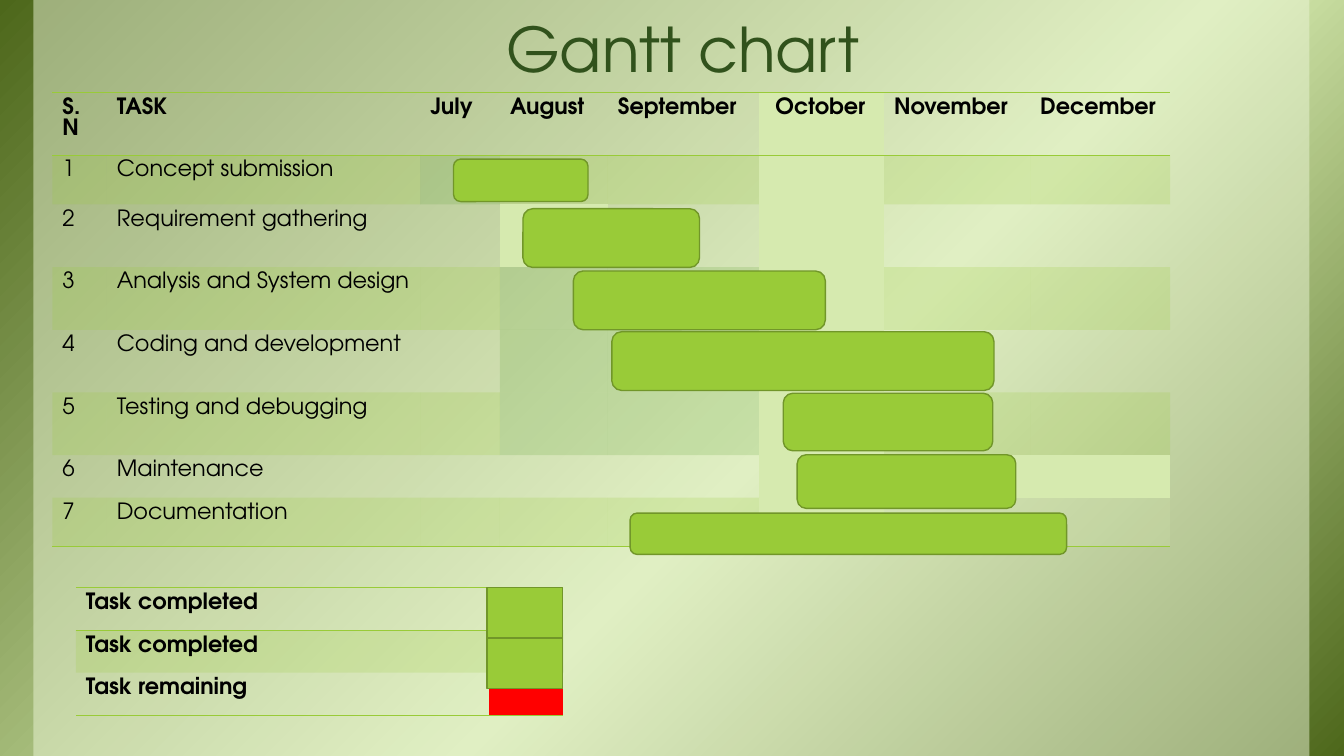
from dataclasses import dataclass

from lxml import etree
from pptx import Presentation
from pptx.dml.color import RGBColor
from pptx.enum.shapes import MSO_SHAPE
from pptx.enum.text import MSO_ANCHOR, MSO_AUTO_SIZE, PP_ALIGN
from pptx.oxml import parse_xml
from pptx.oxml.ns import qn
from pptx.util import Cm, Pt

RECTANGLE = MSO_SHAPE.RECTANGLE
ROUNDED_BAR = MSO_SHAPE.FLOWCHART_ALTERNATE_PROCESS
CENTER = PP_ALIGN.CENTER
BOTTOM = MSO_ANCHOR.BOTTOM
NO_AUTOFIT = MSO_AUTO_SIZE.NONE
DRAWING_NS = "http://schemas.openxmlformats.org/drawingml/2006/main"
PLAIN_TABLE_STYLE = "{2D5ABB26-0587-4C30-8999-92F81FD0307C}"


@dataclass(frozen=True)
class Theme:
    font: str = "TeX Gyre Adventor"
    title_size: int = 44
    table_size: int = 16
    table_leading: int = 15
    title: str = "31521C"
    ink: str = "000000"
    green: str = "99CB38"
    leaf: str = "63A537"
    outline: str = "719629"
    pale: str = "D6EAAF"
    mist: str = "EBF5D7"
    olive: str = "4D671B"
    red: str = "FF0000"


THEME = Theme()

# Cell fills by letter: colour and opacity in percent
CELL_FILLS = {
    "g": (THEME.green, 20),
    "l": (THEME.leaf, 20),
    "p": (THEME.pale, 100),
    "q": (THEME.pale, 20),
    "G": (THEME.green, 100),
    "R": (THEME.red, 100),
}

MONTHS = ["July", "August", "September", " October", "November", "December"]
TASKS = ["Concept submission", "Requirement gathering",
         "Analysis and System design", "Coding and development",
         "Testing and debugging", "Maintenance", "Documentation"]
SCHEDULE_COLUMNS = [1.37, 7.9, 2.01, 2.72, 3.81, 3.15, 3.68, 3.53]
SCHEDULE_ROWS = [1.57, 1.24, 1.58, 1.58, 1.58, 1.58, 1.07, 1.24]
SCHEDULE_FILLS = [".....p..", "gglggpgg", "...p.p..", "gggllpgg",
                  "...llp..", "gggllpgg", ".....ppp", "gggggpqq"]
# Left, top, width and height of each task bar, within the schedule
TASK_BARS = [
    (10.11, 1.67, 3.39, 1.07),
    (11.86, 2.92, 4.45, 1.48),
    (13.13, 4.49, 6.35, 1.48),
    (14.1, 6.02, 9.63, 1.48),
    (18.42, 7.57, 5.28, 1.45),
    (18.77, 9.12, 5.51, 1.35),
    (14.56, 10.59, 11, 1.04),
]
LEGEND = ["Task completed", "Task completed", "Task remaining"]
LEGEND_FILLS = [".G", "gl", ".R"]


def paint(fill, holder, color, opacity=100):
    fill.solid()
    fill.fore_color.rgb = RGBColor.from_string(color)
    if opacity < 100:
        tint = holder.find(qn("a:solidFill")).find(qn("a:srgbClr"))
        etree.SubElement(tint, qn("a:alpha")).set("val", str(opacity * 1000))


def add_block(page, kind, left, top, width, height):
    block = page.shapes.add_shape(kind, Cm(left), Cm(top), Cm(width), Cm(height))
    block.shadow.inherit = False
    return block


def add_bar(page, kind, left, top, width, height):
    bar = add_block(page, kind, left, top, width, height)
    paint(bar.fill, bar._element.spPr, THEME.green)
    bar.line.color.rgb = RGBColor.from_string(THEME.outline)
    bar.line.width = Pt(1)


def style_span(span, size, color, bold=False):
    span.font.name = THEME.font
    span.font.size = Pt(size)
    span.font.bold = bold
    span.font.color.rgb = RGBColor.from_string(color)


def add_border(cell, side):
    border = parse_xml(
        f'<a:{side} xmlns:a="{DRAWING_NS}" w="12700"><a:solidFill>'
        f'<a:srgbClr val="{THEME.green}"/></a:solidFill></a:{side}>')
    cell._tc.get_or_add_tcPr().insert(0, border)


def fill_cell(cell, text, fill_letter, bold):
    cell.text_frame.text = text
    para = cell.text_frame.paragraphs[0]
    para.line_spacing = Pt(THEME.table_leading)
    for span in para.runs:
        style_span(span, THEME.table_size, THEME.ink, bold)
    if fill_letter in CELL_FILLS:
        paint(cell.fill, cell._tc.get_or_add_tcPr(), *CELL_FILLS[fill_letter])
    else:
        cell.fill.background()


def add_plain_table(page, left, top, columns, rows):
    frame = page.shapes.add_table(len(rows), len(columns), Cm(left), Cm(top),
                                  Cm(sum(columns)), Cm(sum(rows)))
    table = frame.table
    table.first_row = table.horz_banding = False
    table._tbl.tblPr.find(qn("a:tableStyleId")).text = PLAIN_TABLE_STYLE
    for column, width in zip(table.columns, columns):
        column.width = Cm(width)
    for row, height in zip(table.rows, rows):
        row.height = Cm(height)
    return table


def add_backdrop(page, width, height):
    base = add_block(page, RECTANGLE, 0, 0, width, height)
    base.fill.gradient()
    base.fill.gradient_angle = 315
    stops = base._element.spPr.find(qn("a:gradFill")).find(qn("a:gsLst"))
    for stop in list(stops):
        stops.remove(stop)
    for position, color in ((0, THEME.olive), (58, THEME.pale), (100, THEME.olive)):
        stop = etree.SubElement(stops, qn("a:gs"), pos=str(position * 1000))
        etree.SubElement(stop, qn("a:srgbClr"), val=color)
    veil = add_block(page, RECTANGLE, 0.84, 0, width - 1.71, height)
    paint(veil.fill, veil._element.spPr, THEME.mist, 50)
    for layer in (base, veil):
        layer.line.fill.background()
        page.shapes.title._element.addprevious(layer._element)


def add_title(page, left, top, width, height):
    title = page.shapes.title
    title.left, title.top = Cm(left), Cm(top)
    title.width, title.height = Cm(width), Cm(height)
    text_frame = title.text_frame
    text_frame.text = "Gantt chart"
    text_frame.auto_size = NO_AUTOFIT
    text_frame.vertical_anchor = BOTTOM
    text_frame.margin_left = text_frame.margin_right = Cm(0.33)
    text_frame.margin_top = text_frame.margin_bottom = Cm(0.17)
    para = text_frame.paragraphs[0]
    para.alignment = CENTER
    para.line_spacing = 0.85
    style_span(para.runs[0], THEME.title_size, THEME.title)


def add_schedule(page, left, top):
    table = add_plain_table(page, left, top, SCHEDULE_COLUMNS, SCHEDULE_ROWS)
    blanks = [""] * len(MONTHS)
    content = [["S.N", "TASK", *MONTHS]]
    content += [[str(number), task, *blanks] for number, task in enumerate(TASKS, 1)]
    for row, (texts, fills) in enumerate(zip(content, SCHEDULE_FILLS)):
        for column, (text, letter) in enumerate(zip(texts, fills)):
            cell = table.cell(row, column)
            fill_cell(cell, text, letter, bold=row == 0)
            if row in (0, len(TASKS)):
                add_border(cell, "lnB")
            if row == 0:
                add_border(cell, "lnT")


def add_task_bars(page, left, top):
    for bar_left, bar_top, width, height in TASK_BARS:
        add_bar(page, ROUNDED_BAR, left + bar_left, top + bar_top, width, height)


def add_legend(page, left, top):
    table = add_plain_table(page, left, top, [10.41, 1.88], [1.07] * len(LEGEND))
    for row, (label, fills) in enumerate(zip(LEGEND, LEGEND_FILLS)):
        for column, text in enumerate((label, "")):
            cell = table.cell(row, column)
            fill_cell(cell, text, fills[column], bold=True)
            if row != 1:
                add_border(cell, "lnB")
            if row == 0:
                add_border(cell, "lnT")


def add_legend_swatches(page, left, top):
    side, height = 1.91, 1.27
    for place in (1, 0):
        add_bar(page, RECTANGLE, left + 10.36, top + place * height, side, height)


def main():
    deck = Presentation()
    deck.slide_width, deck.slide_height = Cm(33.87), Cm(19.05)
    page = deck.slides.add_slide(deck.slide_layouts[5])
    add_backdrop(page, 33.87, 19.05)
    add_title(page, 3.1, 0.2, 28.22, 2.11)
    add_schedule(page, 1.32, 2.34)
    add_legend(page, 1.91, 14.81)
    add_task_bars(page, 1.32, 2.34)
    add_legend_swatches(page, 1.91, 14.81)
    deck.save("out.pptx")


if __name__ == "__main__":
    main()
